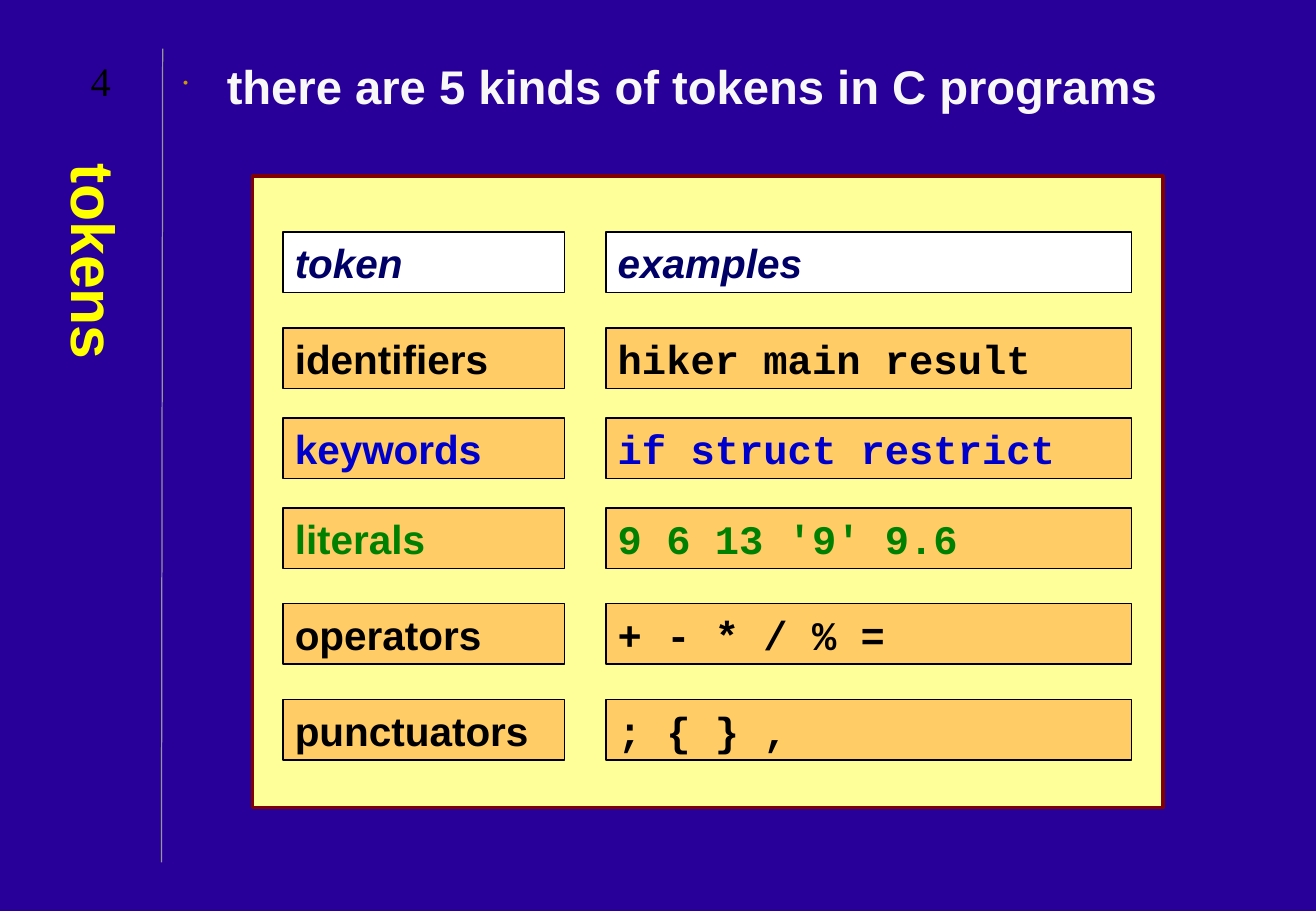
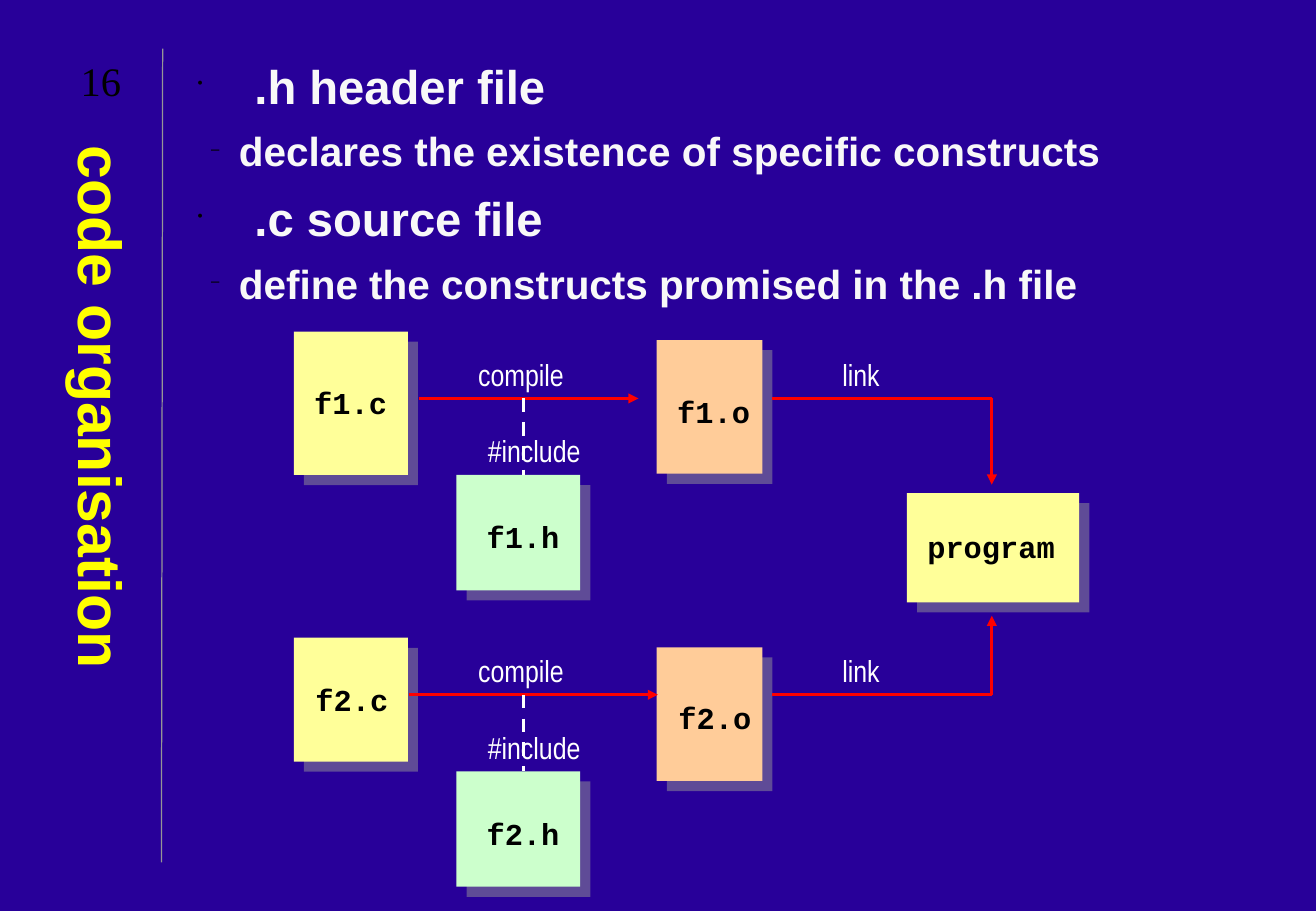
import pptx
import pptx.dml.color
import pptx.enum.dml
import pptx.enum.shapes
import pptx.enum.text
import pptx.oxml
import pptx.oxml.ns
import pptx.util
from lxml import etree

Inches = pptx.util.Inches
Pt = pptx.util.Pt
RGBColor = pptx.dml.color.RGBColor
Align = pptx.enum.text.PP_ALIGN
Anchor = pptx.enum.text.MSO_ANCHOR
qn = pptx.oxml.ns.qn

NAVY = RGBColor(0x28, 0x00, 0x99)
GREY = RGBColor(0x96, 0x96, 0x96)
TITLE_YELLOW = RGBColor(0xFF, 0xFF, 0x00)
OFF_WHITE = RGBColor(0xF8, 0xF8, 0xF8)
WHITE = RGBColor(0xFF, 0xFF, 0xFF)
BLACK = RGBColor(0x00, 0x00, 0x00)
GOLD = RGBColor(0xCC, 0x99, 0x00)
PALE_YELLOW = RGBColor(0xFF, 0xFF, 0x99)
MAROON = RGBColor(0x80, 0x00, 0x00)
ORANGE = RGBColor(0xFF, 0xCC, 0x66)
PEACH = RGBColor(0xFF, 0xCC, 0x99)
MINT = RGBColor(0xCC, 0xFF, 0xCC)
HEADER_BLUE = RGBColor(0x00, 0x00, 0x66)
KEYWORD_BLUE = RGBColor(0x00, 0x00, 0xCC)
LITERAL_GREEN = RGBColor(0x00, 0x80, 0x00)
RED = RGBColor(0xFF, 0x00, 0x00)

SANS, NARROW, MONO, SERIF = "Arial", "Arial Narrow", "Courier New", "Times New Roman"

TOKEN_ROWS = [  # top, token, examples, text colour
    (2.7, "identifiers", "hiker main result", BLACK),
    (3.44, "keywords", "if struct restrict", KEYWORD_BLUE),
    (4.18, "literals", "9 6 13 '9' 9.6", LITERAL_GREEN),
    (4.97, "operators", "+ - * / % =", BLACK),
    (5.76, "punctuators", "; { } ,", BLACK),
]


def add_element(parent, tag, **attributes):
    element = etree.SubElement(parent, qn(tag))
    for name, value in attributes.items():
        element.set(name, str(value))
    return element


def style(paragraph, name, size, color, bold=False, italic=False):
    font = paragraph.font
    font.name, font.size, font.bold, font.italic = name, Pt(size), bold, italic
    font.color.rgb = color


def add_text(page, at, text, *font, align=Align.LEFT, anchor=Anchor.TOP, wrap=True):
    box = page.shapes.add_textbox(*map(Inches, at))
    frame = box.text_frame
    frame.word_wrap = wrap
    frame.vertical_anchor = anchor
    paragraph = frame.paragraphs[0]
    paragraph.text = text
    paragraph.alignment = align
    style(paragraph, *font)
    return box


def add_rectangle(page, at, fill, border=None, border_width=1):
    shape = page.shapes.add_shape(
        pptx.enum.shapes.MSO_SHAPE.RECTANGLE, *map(Inches, at))
    shape.shadow.inherit = False
    shape.fill.solid()
    shape.fill.fore_color.rgb = fill
    if border is None:
        shape.line.fill.background()
    else:
        shape.line.color.rgb = border
        shape.line.width = Pt(border_width)
    return shape


def add_line(page, start, end, color, width=2, arrow=False, dashed=False):
    connector = page.shapes.add_connector(
        pptx.enum.shapes.MSO_CONNECTOR.STRAIGHT, *map(Inches, start + end))
    connector.line.color.rgb = color
    connector.line.width = Pt(width)
    if dashed:
        connector.line.dash_style = pptx.enum.dml.MSO_LINE.DASH
    if arrow:
        add_element(connector.line._get_or_add_ln(), "a:tailEnd", type="triangle")
    add_element(connector._element.spPr, "a:effectLst")


def add_page(deck, number, title, title_at):
    """Add a slide with the shared rule, page number and vertical title."""
    page = deck.slides.add_slide(deck.slide_layouts[6])
    page.background.fill.solid()
    page.background.fill.fore_color.rgb = NAVY
    add_line(page, (1.33, 7.1), (1.34, 0.4), GREY, 0.75)
    add_text(page, (0.42, 0.41, 0.82, 0.5), str(number), SERIF, 24, BLACK,
             align=Align.CENTER, anchor=Anchor.MIDDLE)
    box = add_text(page, title_at, title, SANS, 36, TITLE_YELLOW, True,
                   align=Align.CENTER, anchor=Anchor.MIDDLE)
    frame = box.text_frame
    frame.margin_left = frame.margin_right = Inches(0.05)
    frame.margin_top = frame.margin_bottom = Inches(0.1)
    frame._txBody.bodyPr.set("vert", "eaVert")
    return page


def add_bullets(page, at, items, margin, color):
    """Add (level, text) items; margin is the text indent of level 0."""
    levels = [(28, 7, margin, -0.36, "•", 32), (24, 6, 0.46, -0.23, "–", 37)]
    frame = page.shapes.add_textbox(*map(Inches, at)).text_frame
    frame.word_wrap = True
    for index, (level, text) in enumerate(items):
        size, before, left, indent, mark, percent = levels[level]
        paragraph = frame.add_paragraph() if index else frame.paragraphs[0]
        paragraph.text = text
        paragraph.level = level
        properties = paragraph._p.get_or_add_pPr()
        properties.set("marL", str(Inches(left)))
        properties.set("indent", str(Inches(indent)))
        bullet_color = add_element(properties, "a:buClr")
        add_element(bullet_color, "a:srgbClr", val=color)
        add_element(properties, "a:buSzPct", val=percent * 1000)
        add_element(properties, "a:buChar", char=mark)
        paragraph.space_before = Pt(before)
        paragraph.space_after = Pt(1.5)
        style(paragraph, SANS, size, OFF_WHITE, True)


def add_cell(page, at, text, fill, *font):
    cell = add_rectangle(page, at, fill, BLACK)
    cell.text_frame.vertical_anchor = Anchor.TOP
    paragraph = cell.text_frame.paragraphs[0]
    paragraph.text = text
    paragraph.alignment = Align.LEFT
    style(paragraph, *font)


def add_token_row(page, top, token, examples, fill, color, example_font, italic=False):
    add_cell(page, (2.33, top, 2.32, 0.5), token, fill, SANS, 24, color, True, italic)
    add_cell(page, (4.99, top, 4.33, 0.5), examples, fill,
             example_font, 24, color, True, italic)


def add_file(page, at, fill, name, label_at, label_width=0.8):
    """Add a box with a drop shadow and the file name over it."""
    shape = add_rectangle(page, at, fill)
    effects = shape._element.spPr.find(qn("a:effectLst"))
    shadow = add_element(effects, "a:outerShdw", dist=Pt(8.5), dir=45 * 60000,
                         algn="ctr", rotWithShape=0)
    shadow_color = add_element(shadow, "a:srgbClr", val=GREY)
    add_element(shadow_color, "a:alpha", val=50000)
    add_text(page, label_at + (label_width, 0.4), name, MONO, 18, BLACK, True, wrap=False)


def add_build_lane(page, stem, y, source, source_label, target, target_label,
                   compile_span, program_edge):
    """Draw one source file's way to the program along the height y."""
    add_file(page, source, PALE_YELLOW, stem + ".c", source_label)
    add_file(page, target, PEACH, stem + ".o", target_label)
    add_file(page, (3.76, y + 0.63, 1.02, 0.95), MINT, stem + ".h", (3.91, y + 0.94))
    for left, top, width, text in [(3.84, y - 0.4, 2.06, "compile"),
                                   (3.92, y + 0.23, 1.98, "#include"),
                                   (6.84, y - 0.4, 1.1, "link")]:
        add_text(page, (left, top, width, 0.4), text, NARROW, 18, WHITE)
    start, end = compile_span
    add_line(page, (start, y), (end, y), RED, arrow=True)
    add_line(page, (4.31, y), (4.31, y + 0.63), WHITE, dashed=True)
    add_line(page, (6.36, y), (8.17, y), RED)
    add_line(page, (8.17, y), (8.17, program_edge), RED, arrow=True)


def build_tokens(deck):
    page = add_page(deck, 4, "tokens", (0.33, 1.25, 0.92, 5.83))
    add_bullets(page, (1.41, 0.42, 8.92, 6.67),
                [(0, "there are 5 kinds of tokens in C programs")], 0.36, GOLD)
    add_rectangle(page, (2.08, 1.45, 7.5, 5.2), PALE_YELLOW, MAROON, 2)
    add_token_row(page, 1.91, "token", "examples", WHITE, HEADER_BLUE, SANS, True)
    for top, token, examples, color in TOKEN_ROWS:
        add_token_row(page, top, token, examples, ORANGE, color, MONO)


def build_code_organisation(deck):
    page = add_page(deck, 16, "code organisation", (0.12, 1.1, 1.45, 6.1))
    add_bullets(page, (1.41, 0.42, 9.42, 6.67), [
        (0, " .h header file"),
        (1, "declares the existence of specific constructs"),
        (0, " .c source file"),
        (1, "define the constructs promised in the .h file"),
    ], 0.48, BLACK)
    add_file(page, (7.47, 4.06, 1.42, 0.9), PALE_YELLOW, "program", (7.54, 4.3), 1.25)
    add_build_lane(page, "f1", 3.28,
                   source=(2.42, 2.73, 0.94, 1.18), source_label=(2.49, 3.11),
                   target=(5.41, 2.8, 0.87, 1.1), target_label=(5.48, 3.19),
                   compile_span=(3.45, 5.26), program_edge=3.99)
    add_build_lane(page, "f2", 5.72,
                   source=(2.42, 5.25, 0.94, 1.02), source_label=(2.5, 5.56),
                   target=(5.41, 5.33, 0.87, 1.1), target_label=(5.49, 5.71),
                   compile_span=(3.37, 5.42), program_edge=5.07)


def main():
    deck = pptx.Presentation()
    deck.slide_width, deck.slide_height = Inches(10.84), Inches(7.5)
    build_tokens(deck)
    build_code_organisation(deck)
    deck.save("out.pptx")


if __name__ == "__main__":
    main()
